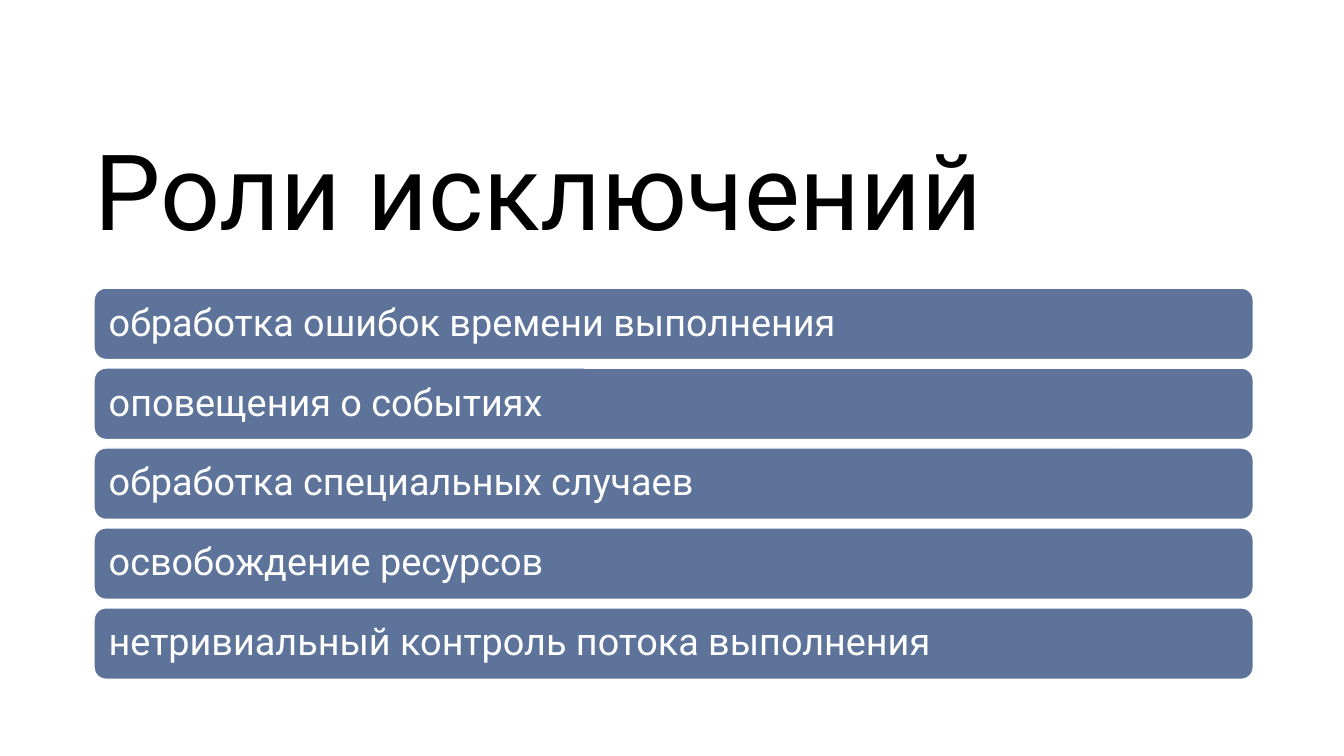
"""Builds a slide listing the roles of exceptions as a stack of rounded bars."""
from pptx import Presentation
from pptx.dml.color import RGBColor
from pptx.enum import shapes, text
from pptx.util import Pt

TITLE = "Роли исключений"
ROLES = [
    "обработка ошибок времени выполнения",
    "оповещения о событиях",
    "обработка специальных случаев",
    "освобождение ресурсов",
    "нетривиальный контроль потока выполнения",
]
COLORS = {"title": "000000", "bar": "5D739A", "light": "FFFFFF"}
FONT = "Roboto"
TITLE_BOX = (67.7, 87.8, 828, 104.4)
BAR_LEFT, BAR_TOP, BAR_WIDTH, BAR_HEIGHT = 67.2, 205.8, 828, 51
BAR_PITCH = 57.1


def color(value):
    return RGBColor.from_string(value)


def set_all(target, values):
    for name, value in values.items():
        setattr(target, name, value)


def write(shape, content, size, hue, inset):
    frame = shape.text_frame
    margins = {f"margin_{side}": Pt(inset) for side in ("left", "top", "right", "bottom")}
    set_all(frame, {"word_wrap": True, "vertical_anchor": text.MSO_ANCHOR.MIDDLE, **margins})
    paragraph = frame.paragraphs[0]
    set_all(paragraph, {"alignment": text.PP_ALIGN.LEFT, "line_spacing": 0.9})
    run = paragraph.add_run()
    run.text = content
    set_all(run.font, {"name": FONT, "size": Pt(size)})
    run.font.color.rgb = color(hue)


def add_bar(slide, index, role):
    box = (BAR_LEFT, BAR_TOP + index * BAR_PITCH, BAR_WIDTH, BAR_HEIGHT)
    bar = slide.shapes.add_shape(shapes.MSO_SHAPE.ROUNDED_RECTANGLE, *map(Pt, box))
    bar.shadow.inherit = False
    bar.fill.solid()
    bar.fill.fore_color.rgb = color(COLORS["bar"])
    bar.line.color.rgb = color(COLORS["light"])
    bar.line.width = Pt(1)
    write(bar, role, 27, COLORS["light"], 8)


def main():
    presentation = Presentation()
    set_all(presentation, {"slide_width": Pt(960), "slide_height": Pt(540)})
    slide = presentation.slides.add_slide(presentation.slide_layouts[6])
    title = slide.shapes.add_textbox(*map(Pt, TITLE_BOX))
    write(title, TITLE, 75.2, COLORS["title"], 0)
    for index, role in enumerate(ROLES):
        add_bar(slide, index, role)
    presentation.save("out.pptx")


if __name__ == "__main__":
    main()
